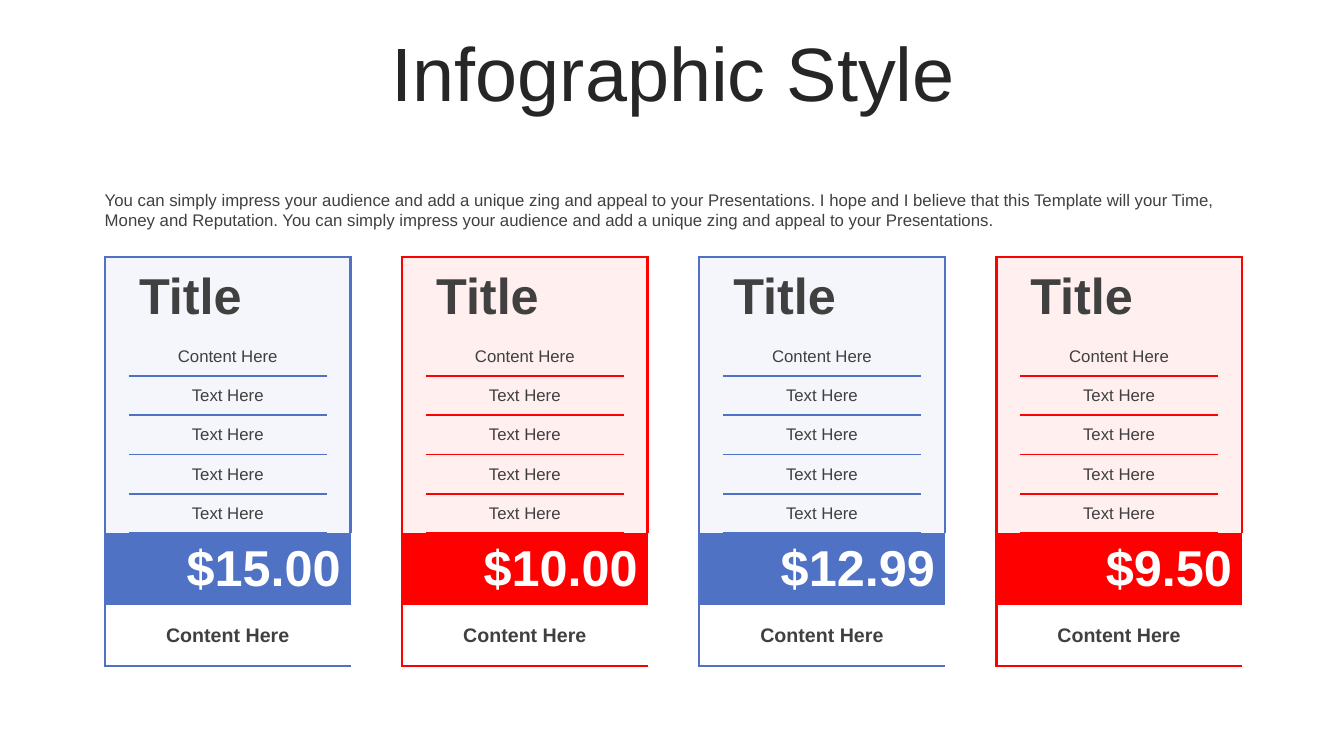
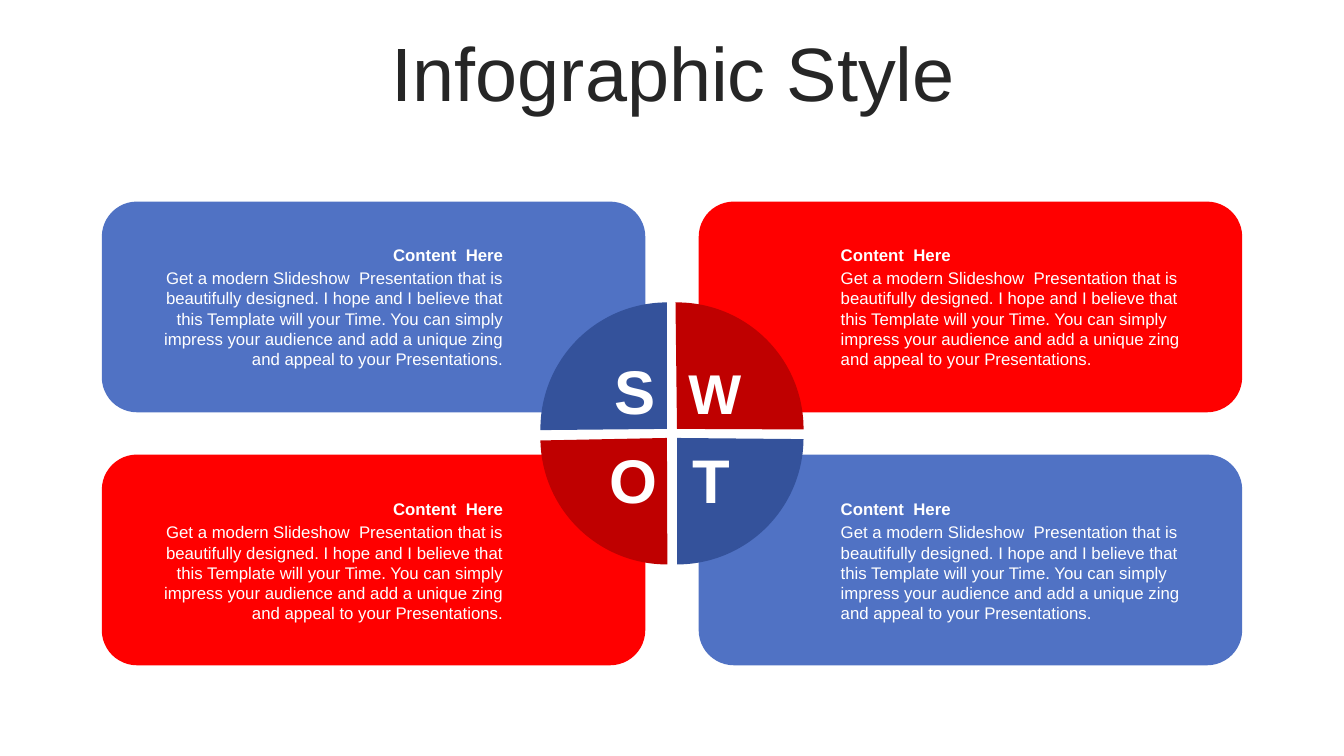
from lxml.etree import SubElement
from pptx import Presentation
from pptx.dml.color import RGBColor
from pptx.enum.shapes import MSO_SHAPE
from pptx.enum.text import MSO_ANCHOR, PP_ALIGN
from pptx.oxml.ns import qn
from pptx.util import Inches, Pt

COLORS = {
    "blue": "5072C4", "blue_tint": "DCE3F3", "blue_dark": "34529B",
    "red": "FF0000", "red_tint": "FFCCCC", "red_dark": "BF0000",
    "ink": "262626", "text": "404040", "white": "FFFFFF",
}
FONT = "Arial"
TITLE = "Infographic Style"
NO_GRID_STYLE = "{2D5ABB26-0587-4C30-8999-92F81FD0307C}"
LEFT, CENTER, RIGHT = PP_ALIGN.LEFT, PP_ALIGN.CENTER, PP_ALIGN.RIGHT
TOP, MIDDLE = MSO_ANCHOR.TOP, MSO_ANCHOR.MIDDLE

INTRO = (
    "You can simply impress your audience and add a unique zing and appeal to your "
    "Presentations. I hope and I believe that this Template will your Time, Money and "
    "Reputation. You can simply impress your audience and add a unique zing and appeal "
    "to your Presentations."
)
PLANS = [("$15.00", "blue"), ("$10.00", "red"), ("$12.99", "blue"), ("$9.50", "red")]
PLAN_TITLE = "Title"
FEATURES = ["Content Here"] + ["Text Here"] * 4
PLAN_FOOTER = "Content Here"
PLAN_COLUMNS = [0.23, 1.96, 0.23]
PLAN_ROWS = [0.79] + [0.39] * len(FEATURES) + [0.71, 0.61]
FIRST_PLAN, LAST_PLAN, PLAN_TOP = 1.04, 9.88, 2.55

SWOT_HEADING = "Content  Here"
SWOT_BODY = (
    "Get a modern Slideshow  Presentation that is beautifully designed. I hope and I "
    "believe that this Template will your Time. You can simply impress your audience "
    "and add a unique zing and appeal to your Presentations."
)
# letter, size, letter box, row, column, colour, start and end angle of the wedge
SWOT = [
    ("S", 44, (5.97, 3.5, 0.66, 0.74), 0, 0, "blue", (179.45, 270)),
    ("W", 40, (6.73, 3.56, 0.66, 0.67), 0, 1, "red", (269.31, 0.25)),
    ("O", 44, (5.95, 4.38, 0.66, 0.74), 1, 0, "red", (89.8, 178.86)),
    ("T", 44, (6.73, 4.38, 0.66, 0.74), 1, 1, "blue", (0.53, 89.96)),
]
PANEL_LEFTS, PANEL_TOPS, PANEL_SIZE = (1.01, 6.93), (2, 4.51), (5.39, 2.09)
WEDGE_LEFTS, WEDGE_TOPS, WEDGE_SIZE = (5.36, 5.46), (3, 3.09), (2.51, 2.51)
COPY_LEFTS, COPY_TOPS, COPY_WIDTH = (1.33, 8.24), (2.38, 4.9), 3.76


def rgb(color):
    return RGBColor.from_string(COLORS[color])


def write(frame, text, size, color, bold=False, align=LEFT):
    frame.text = text
    paragraph = frame.paragraphs[0]
    paragraph.alignment = align
    font = paragraph.runs[0].font
    font.name, font.size, font.bold = FONT, Pt(size), bold
    font.color.rgb = rgb(color)
    return paragraph


def add_text(slide, box, text, size, color, bold=False, align=LEFT, anchor=TOP, pad=0.05):
    frame = slide.shapes.add_textbox(*map(Inches, box)).text_frame
    frame.word_wrap = True
    frame.vertical_anchor = anchor
    frame.margin_top = frame.margin_bottom = Inches(pad)
    return write(frame, text, size, color, bold, align)


def add_filled(slide, preset, box, color):
    shape = slide.shapes.add_shape(preset, *map(Inches, box))
    shape.shadow.inherit = False
    shape.fill.solid()
    shape.fill.fore_color.rgb = rgb(color)
    shape.line.fill.background()
    return shape


def add_titled_slide(prs):
    slide = prs.slides.add_slide(prs.slide_layouts[6])
    title = add_text(slide, (0.35, 0.37, 12.66, 0.79), TITLE, 54, "ink",
                     align=CENTER, anchor=MIDDLE)
    title.line_spacing = 0.9
    title.space_before = Pt(10)
    return slide


def style_cell(cell, fill, line, borders, opacity=100):
    """Borders map the sides L, R, T, B to widths in points."""
    cell.vertical_anchor = MIDDLE
    cell.margin_top = cell.margin_bottom = 0
    props = cell._tc.get_or_add_tcPr()
    for side in "LRTB":
        if side in borders:
            edge = SubElement(props, qn(f"a:ln{side}"), w=str(Pt(borders[side])))
            paint = SubElement(edge, qn("a:solidFill"))
            SubElement(paint, qn("a:srgbClr"), val=COLORS[line])
    cell.fill.solid()
    cell.fill.fore_color.rgb = rgb(fill)
    if opacity < 100:
        tint = props.find(f"{qn('a:solidFill')}/{qn('a:srgbClr')}")
        SubElement(tint, qn("a:alpha"), val=str(opacity * 1000))


def plan_borders(row, column):
    """Frame the whole table and rule off the features in the middle column."""
    borders = {}
    if column == 0:
        borders["L"] = 2.25
    if column == len(PLAN_COLUMNS) - 1:
        borders["R"] = 2.25
    if row == 0:
        borders["T"] = 2.25
    if row == len(PLAN_ROWS) - 1:
        borders["B"] = 2.25
    if column == 1 and 1 < row <= len(FEATURES):
        borders["T"] = 1.5
    if column == 1 and 1 <= row < len(FEATURES):
        borders["B"] = 1.5
    return borders


def add_plan(slide, left, price, color):
    size = (sum(PLAN_COLUMNS), sum(PLAN_ROWS))
    frame = slide.shapes.add_table(len(PLAN_ROWS), len(PLAN_COLUMNS),
                                   *map(Inches, (left, PLAN_TOP, *size)))
    plan = frame.table
    plan.first_row = plan.horz_banding = False
    plan._tbl.tblPr.find(qn("a:tableStyleId")).text = NO_GRID_STYLE
    for column, width in zip(plan.columns, PLAN_COLUMNS):
        column.width = Inches(width)
    for row, height in zip(plan.rows, PLAN_ROWS):
        row.height = Inches(height)

    price_row = len(FEATURES) + 1
    footer_row = price_row + 1
    fills = {price_row: (color, 100), footer_row: ("white", 100)}
    for row in range(len(PLAN_ROWS)):
        fill, opacity = fills.get(row, (f"{color}_tint", 30))
        for column in range(len(PLAN_COLUMNS)):
            style_cell(plan.cell(row, column), fill, color,
                       plan_borders(row, column), opacity)
    for row in fills:
        plan.cell(row, 0).merge(plan.cell(row, 2))

    write(plan.cell(0, 1).text_frame, PLAN_TITLE, 36, "text", True)
    for row, feature in enumerate(FEATURES, 1):
        write(plan.cell(row, 1).text_frame, feature, 12, "text", align=CENTER)
    write(plan.cell(price_row, 0).text_frame, price, 36, "white", True, RIGHT)
    write(plan.cell(footer_row, 0).text_frame, PLAN_FOOTER, 14, "text", True, CENTER)


def build_pricing(prs):
    slide = add_titled_slide(prs)
    pitch = (LAST_PLAN - FIRST_PLAN) / (len(PLANS) - 1)
    for index, (price, color) in enumerate(PLANS):
        add_plan(slide, FIRST_PLAN + index * pitch, price, color)
    add_text(slide, (0.94, 1.83, 11.45, 0.5), INTRO, 12, "text")


def build_swot(prs):
    slide = add_titled_slide(prs)
    for _, _, _, row, column, color, _ in SWOT:
        add_filled(slide, MSO_SHAPE.ROUNDED_RECTANGLE,
                   (PANEL_LEFTS[column], PANEL_TOPS[row], *PANEL_SIZE), color)
    for letter, size, letter_box, row, column, color, angles in SWOT:
        wedge = add_filled(slide, MSO_SHAPE.PIE,
                           (WEDGE_LEFTS[column], WEDGE_TOPS[row], *WEDGE_SIZE),
                           f"{color}_dark")
        for index, degrees in enumerate(angles):
            wedge.adjustments[index] = degrees * 0.6  # 60000 units a degree, over 100000
        add_text(slide, letter_box, letter, size, "white", True, CENTER, MIDDLE, pad=0)

        align = (RIGHT, LEFT)[column]
        left, top = COPY_LEFTS[column], COPY_TOPS[row]
        add_text(slide, (left, top, COPY_WIDTH, 0.3), SWOT_HEADING, 12, "white",
                 True, align, MIDDLE)
        add_text(slide, (left, top + 0.23, COPY_WIDTH, 1.11), SWOT_BODY, 12, "white",
                 align=align)


def main():
    prs = Presentation()
    prs.slide_width, prs.slide_height = Inches(13.33), Inches(7.5)
    build_pricing(prs)
    build_swot(prs)
    prs.save("out.pptx")


if __name__ == "__main__":
    main()
